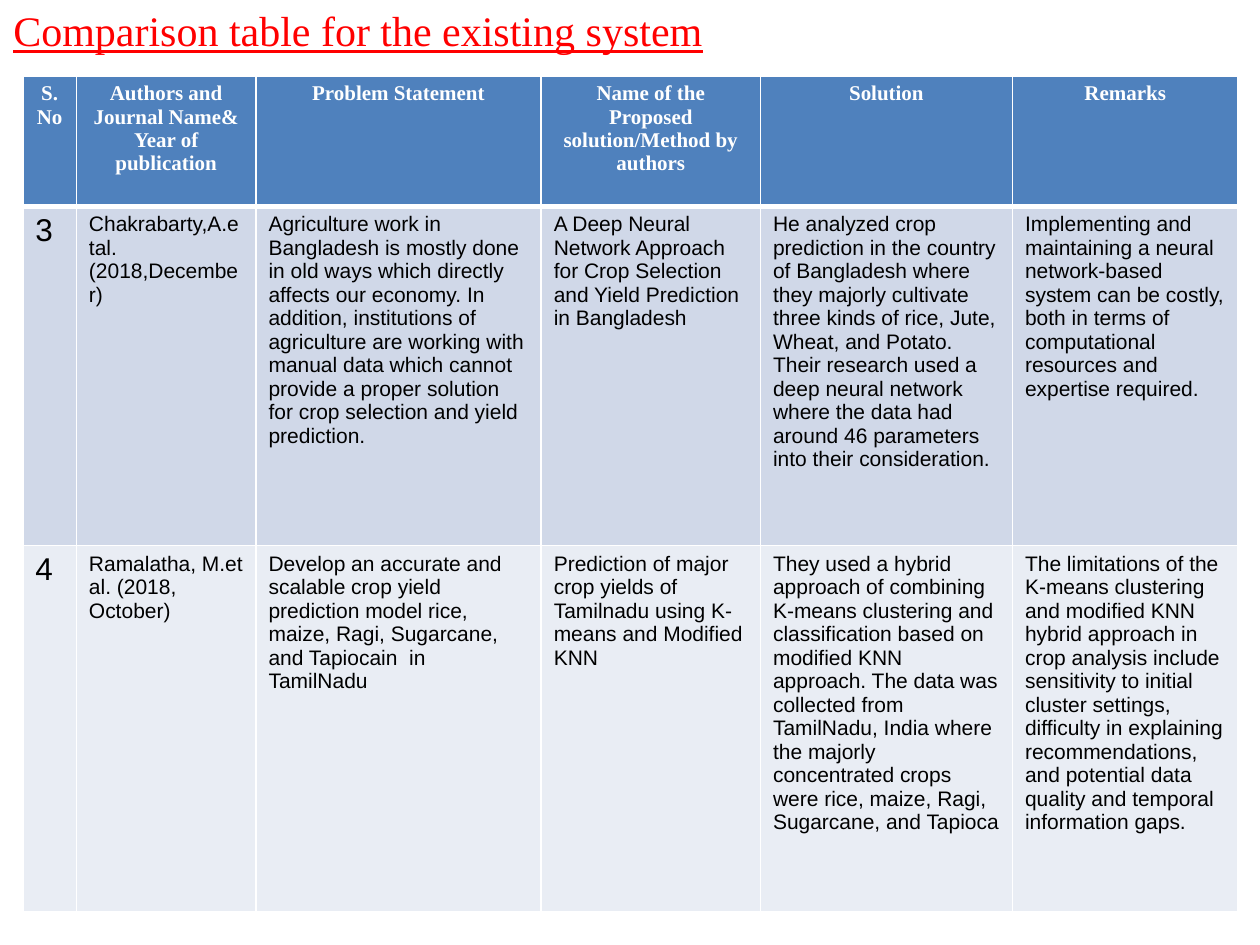
from dataclasses import dataclass
from typing import NamedTuple

from lxml.etree import SubElement
from pptx import Presentation
from pptx.dml.color import RGBColor
from pptx.enum.text import MSO_AUTO_SIZE as AutoSize, PP_ALIGN as Align
from pptx.oxml.ns import qn
from pptx.util import Cm, Pt


@dataclass(frozen=True)
class Theme:
    heading_font: str = "Times New Roman"
    body_font: str = "Arial"
    title_color: str = "FF0000"
    white: str = "FFFFFF"
    black: str = "000000"
    header_fill: str = "4F81BD"
    band_fills: tuple[str, ...] = ("D0D8E8", "E9EDF4")
    title_size: int = 24
    number_size: int = 18
    text_size: int = 12
    thin_line: int = 1
    thick_line: int = 3


class Column(NamedTuple):
    heading: str
    width: float


class Study(NamedTuple):
    number: str
    authors: str
    problem: str
    method: str
    solution: str
    remarks: str
    height: float


THEME = Theme()
HEADER_HEIGHT = 2.63

COLUMNS = [
    Column("S.No", 1.08),
    Column("Authors and Journal Name& Year of publication", 3.62),
    Column("Problem Statement", 5.75),
    Column("Name of the Proposed solution/Method by authors", 4.42),
    Column("Solution", 5.08),
    Column("Remarks", 4.55),
]

# A line break in the text starts a new paragraph
STUDIES = [
    Study(
        "3",
        "Chakrabarty,A.etal.(2018,December)",
        "Agriculture work in\n"
        "Bangladesh is mostly done in old ways which directly affects our economy. "
        "In addition, institutions of agriculture are working with manual data which "
        "cannot provide a proper solution for crop selection and yield prediction.",
        "A Deep Neural Network Approach for Crop Selection and Yield Prediction "
        "in Bangladesh",
        "He analyzed crop prediction in the country of Bangladesh where they majorly "
        "cultivate three kinds of rice, Jute, Wheat, and Potato. Their research used "
        "a deep neural network where the data had around 46 parameters into their "
        "consideration.",
        "Implementing and maintaining a neural network-based system can be costly, "
        "both in terms of computational resources and expertise required.",
        6.84,
    ),
    Study(
        "4",
        "Ramalatha, M.et al. (2018, October)",
        "Develop an accurate and scalable crop yield prediction model rice, maize, "
        "Ragi, Sugarcane, and Tapiocain  in TamilNadu",
        "Prediction of major crop yields of Tamilnadu using K-means and Modified KNN",
        "They used a hybrid approach of combining K-means clustering and "
        "classification based on modified KNN\n"
        "approach. The data was collected from\n"
        "TamilNadu, India where the majorly concentrated crops were rice, maize, "
        "Ragi, Sugarcane, and Tapioca",
        "The limitations of the K-means clustering and modified KNN hybrid approach "
        "in crop analysis include sensitivity to initial cluster settings, difficulty "
        "in explaining recommendations, and potential data quality and temporal "
        "information gaps.",
        7.38,
    ),
]


def write_text(frame, text: str, *, size: int, font: str, color: str,
               bold: bool = False, underline: bool = False, align=Align.LEFT) -> None:
    for index, line in enumerate(text.split("\n")):
        para = frame.paragraphs[0] if index == 0 else frame.add_paragraph()
        para.alignment = align
        span = para.add_run()
        span.text = line
        span.font.size = Pt(size)
        span.font.name = font
        span.font.bold = bold
        span.font.underline = underline
        span.font.color.rgb = RGBColor.from_string(color)


def style_cell(cell, fill: str, *, top: int, bottom: int) -> None:
    properties = cell._tc.get_or_add_tcPr()
    widths = {"lnL": THEME.thin_line, "lnR": THEME.thin_line, "lnT": top, "lnB": bottom}
    for side, width in widths.items():
        line = SubElement(properties, qn(f"a:{side}"), w=str(Pt(width)))
        paint = SubElement(line, qn("a:solidFill"))
        SubElement(paint, qn("a:srgbClr"), val=THEME.white)
    cell.fill.solid()
    cell.fill.fore_color.rgb = RGBColor.from_string(fill)


def add_title(page, text: str) -> None:
    box = page.shapes.add_textbox(Cm(0.02), Cm(-0.03), Cm(24.97), Cm(1.28))
    box.text_frame.word_wrap = True
    box.text_frame.auto_size = AutoSize.SHAPE_TO_FIT_TEXT
    write_text(box.text_frame, text, size=THEME.title_size, font=THEME.heading_font,
               color=THEME.title_color, underline=True)


def add_comparison(page, columns: list[Column], studies: list[Study]) -> None:
    heights = [HEADER_HEIGHT] + [study.height for study in studies]
    table = page.shapes.add_table(
        len(heights), len(columns), Cm(0.46), Cm(1.53),
        Cm(sum(column.width for column in columns)), Cm(sum(heights))).table
    for row, height in zip(table.rows, heights):
        row.height = Cm(height)

    # Header row
    for index, column in enumerate(columns):
        table.columns[index].width = Cm(column.width)
        cell = table.cell(0, index)
        style_cell(cell, THEME.header_fill, top=THEME.thin_line, bottom=THEME.thick_line)
        write_text(cell.text_frame, column.heading, size=THEME.text_size,
                   font=THEME.heading_font, color=THEME.white, bold=True,
                   align=Align.CENTER)

    # One banded row per study
    for row, study in enumerate(studies, start=1):
        fill = THEME.band_fills[(row - 1) % len(THEME.band_fills)]
        top = THEME.thick_line if row == 1 else THEME.thin_line
        for index, text in enumerate(study[:len(columns)]):
            cell = table.cell(row, index)
            style_cell(cell, fill, top=top, bottom=THEME.thin_line)
            size = THEME.number_size if index == 0 else THEME.text_size
            write_text(cell.text_frame, text, size=size, font=THEME.body_font,
                       color=THEME.black)


def main() -> None:
    deck = Presentation()
    deck.slide_width, deck.slide_height = Cm(25.4), Cm(19.05)
    page = deck.slides.add_slide(deck.slide_layouts[6])
    add_title(page, "Comparison table for the existing system")
    add_comparison(page, COLUMNS, STUDIES)
    deck.save("out.pptx")


if __name__ == "__main__":
    main()
